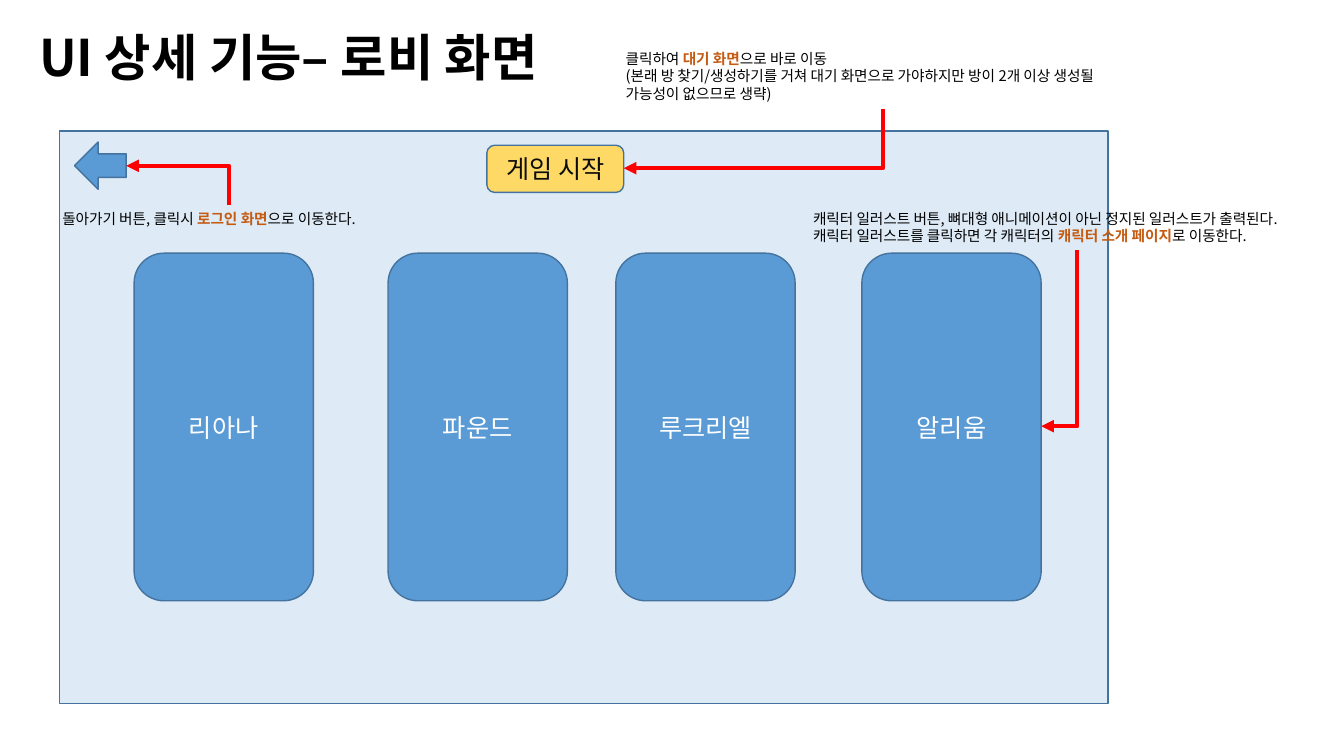
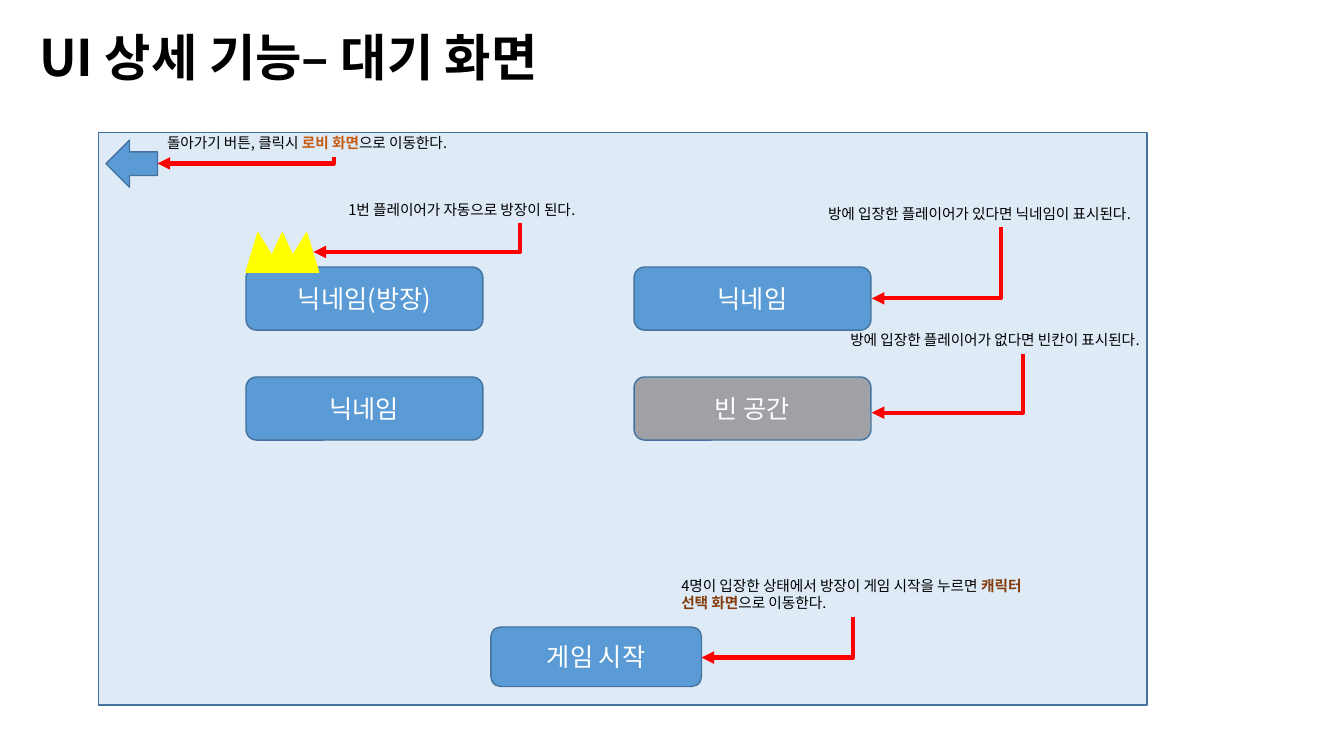
"""Build two slides that annotate the lobby and waiting-room screens of a game."""
from lxml.etree import SubElement
from pptx import Presentation
from pptx.dml.color import RGBColor
from pptx.enum.shapes import MSO_CONNECTOR, MSO_SHAPE as SHAPE
from pptx.enum.text import MSO_ANCHOR as ANCHOR, PP_ALIGN as ALIGN
from pptx.oxml.ns import qn
from pptx.util import Cm, Pt

FONT = "Noto Sans CJK KR"
BLUE, OUTLINE, PANEL = "5B9BD5", "43739E", "DEEBF7"
GOLD, GRAY, YELLOW, RED = "FFD966", "767171", "FFFF00", "FF0000"
BLACK, INK, WHITE = "000000", "0D0D0D", "FFFFFF"
ORANGE, BROWN = "C55A11", "843C0B"
PANEL_SIZE = (26.42, 14.43)
BACK_SIZE = (1.3, 1.19)
CARD_SIZE = (4.52, 8.76)
SLOT_SIZE = (5.97, 1.59)

SCREENS = [
    {
        "title": "UI 상세 기능– 로비 화면",
        "panel": (1.5, 3.3),
        "back": (1.88, 3.58),
        "buttons": [
            ("게임 시작", (12.27, 3.66, 3.45, 1.19), GOLD, INK),
            *[(name, (left, 6.38, *CARD_SIZE), BLUE, WHITE) for name, left in [
                ("리아나", 3.38), ("파운드", 9.78), ("루크리엘", 15.52), ("알리움", 21.72)]],
        ],
        "crown": [],
        "arrows": [
            ((22.25, 2.74), (15.72, 4.24)),
            ((27.15, 6.3), (26.24, 10.74)),
            ((5.77, 5.16), (3.18, 4.18)),
        ],
        "notes": [
            ("클릭하여 *대기 화면*으로 바로 이동\n"
             "(본래 방 찾기/생성하기를 거쳐 대기 화면으로 가야하지만 방이 2개 이상 생성될 "
             "가능성이 없으므로 생략)", (15.52, 1.12, 13.46, 1.6), ORANGE),
            ("캐릭터 일러스트 버튼, 뼈대형 애니메이션이 아닌 정지된 일러스트가 출력된다.\n"
             "캐릭터 일러스트를 클릭하면 각 캐릭터의 *캐릭터 소개 페이지*로 이동한다.",
             (20.24, 5.16, 13.46, 1.14), ORANGE),
            ("돌아가기 버튼, 클릭시 *로그인 화면*으로 이동한다.", (1.32, 5.16, 8.89, 0.71), ORANGE),
        ],
    },
    {
        "title": "UI 상세 기능– 대기 화면",
        "panel": (2.49, 3.34),
        "back": (2.67, 3.53),
        "buttons": [
            ("게임 시작", (12.37, 15.8, 5.31, 1.5), BLUE, WHITE),
            ("닉네임(방장)", (6.2, 6.73, *SLOT_SIZE), BLUE, WHITE),
            ("닉네임", (6.2, 9.5, *SLOT_SIZE), BLUE, WHITE),
            ("닉네임", (15.98, 6.73, *SLOT_SIZE), BLUE, WHITE),
            ("빈 공간", (15.98, 9.5, *SLOT_SIZE), GRAY, WHITE),
        ],
        "crown": [0.33, 0.5, 0.67],
        "arrows": [
            ((8.41, 3.96), (3.97, 4.12)),
            ((25.22, 5.72), (21.97, 7.52)),
            ((25.78, 8.92), (21.97, 10.4)),
            ((21.49, 15.54), (17.68, 16.57)),
            ((13.11, 5.61), (7.9, 6.35)),
        ],
        "notes": [
            ("돌아가기 버튼, 클릭시 *로비 화면*으로 이동한다.", (3.96, 3.25, 8.89, 0.71), ORANGE),
            ("방에 입장한 플레이어가 있다면 닉네임이 표시된다.", (20.62, 5.03, 9.14, 0.71), ORANGE),
            ("방에 입장한 플레이어가 없다면 빈칸이 표시된다.", (21.18, 8.2, 9.14, 0.71), ORANGE),
            ("4명이 입장한 상태에서 방장이 게임 시작을 누르면 *캐릭터 선택 화면*으로 이동한다.",
             (16.92, 14.4, 9.14, 1.14), BROWN),
            ("1번 플레이어가 자동으로 방장이 된다.", (8.53, 4.93, 9.14, 0.71), ORANGE),
        ],
    },
]


def write(shape, text, size=10.5, color=BLACK, bold=False, accent=ORANGE,
          align=ALIGN.LEFT, anchor=ANCHOR.TOP):
    """Fill a shape with text; parts between asterisks are bold in the accent colour."""
    frame = shape.text_frame
    frame.word_wrap = True
    frame.vertical_anchor = anchor
    for index, line in enumerate(text.split("\n")):
        paragraph = frame.add_paragraph() if index else frame.paragraphs[0]
        paragraph.alignment = align
        for part, words in enumerate(line.split("*")):
            marked = part % 2 == 1
            run = paragraph.add_run()
            run.text = words
            run.font.size = Pt(size)
            run.font.bold = bold or marked
            run.font.name = FONT
            run.font.color.rgb = RGBColor.from_string(accent if marked else color)
            SubElement(run.font._element, qn("a:ea"), typeface=FONT)


def draw(shapes, kind, box, fill, line=OUTLINE):
    """Add a preset shape with a flat fill and a thin outline."""
    shape = shapes.add_shape(kind, *map(Cm, box))
    shape.shadow.inherit = False
    shape.fill.solid()
    shape.fill.fore_color.rgb = RGBColor.from_string(fill)
    shape.line.color.rgb = RGBColor.from_string(line)
    shape.line.width = Pt(1)
    return shape


presentation = Presentation()
presentation.slide_width = Cm(33.87)
presentation.slide_height = Cm(19.05)

for screen in SCREENS:
    slide = presentation.slides.add_slide(presentation.slide_layouts[6])
    title = slide.shapes.add_textbox(Cm(0.74), Cm(0.53), Cm(15.6), Cm(1.8))
    write(title, screen["title"], size=36, bold=True)
    draw(slide.shapes, SHAPE.RECTANGLE, (*screen["panel"], *PANEL_SIZE), PANEL)
    draw(slide.shapes, SHAPE.LEFT_ARROW, (*screen["back"], *BACK_SIZE), BLUE)

    for label, box, fill, color in screen["buttons"]:
        button = draw(slide.shapes, SHAPE.ROUNDED_RECTANGLE, box, fill)
        write(button, label, size=18, color=color, align=ALIGN.CENTER, anchor=ANCHOR.MIDDLE)
        if fill == GRAY:
            fill_color = button._element.spPr.find(qn("a:solidFill"))[0]
            SubElement(fill_color, qn("a:alpha"), val="60000")

    if screen["crown"]:
        crown = slide.shapes.add_group_shape()
        for index, peak in enumerate(screen["crown"]):
            box = (6.2 + index * 0.46, 5.87, 0.91, 0.99)
            spike = draw(crown.shapes, SHAPE.ISOSCELES_TRIANGLE, box, YELLOW, line=YELLOW)
            spike.adjustments[0] = peak

    for (start_x, start_y), (end_x, end_y) in screen["arrows"]:
        upward = end_y < start_y
        center_x, center_y = (start_x + end_x) / 2, (start_y + end_y) / 2
        half_width, half_height = abs(end_y - start_y) / 2, abs(end_x - start_x) / 2
        top, bottom = center_y - half_height, center_y + half_height
        if upward:
            top, bottom = bottom, top
        arrow = slide.shapes.add_connector(
            MSO_CONNECTOR.ELBOW, Cm(center_x - half_width), Cm(top),
            Cm(center_x + half_width), Cm(bottom))
        arrow.line.color.rgb = RGBColor.from_string(RED)
        arrow.line.width = Pt(3)
        properties = arrow._element.spPr
        properties.find(qn("a:xfrm")).set("rot", str((270 if upward else 90) * 60000))
        properties.find(qn("a:prstGeom")).set("prst", "bentConnector2")
        SubElement(properties.find(qn("a:ln")), qn("a:tailEnd"), type="triangle")
        SubElement(properties, qn("a:effectLst"))

    for text, box, accent in screen["notes"]:
        write(slide.shapes.add_textbox(*map(Cm, box)), text, accent=accent)

presentation.save("out.pptx")
